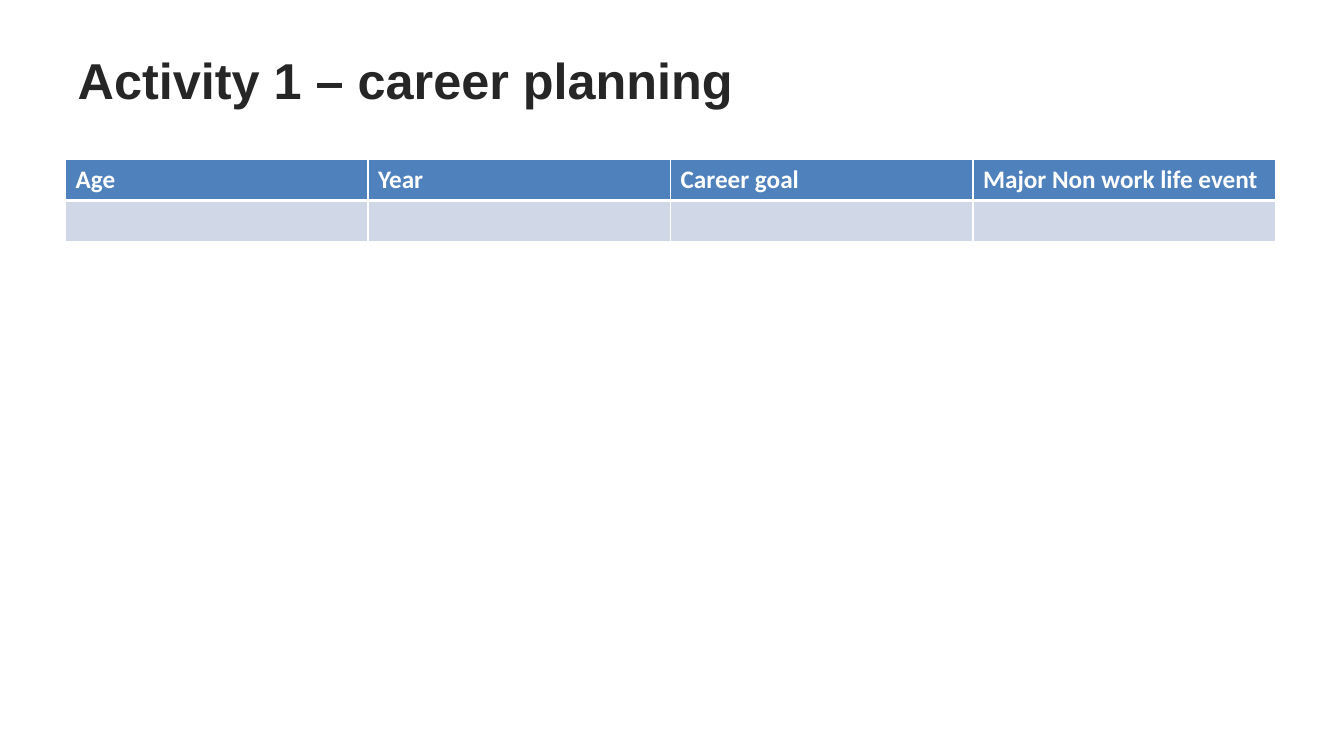
import dataclasses

import pptx
import pptx.dml.color
import pptx.enum.text
import pptx.oxml
import pptx.oxml.ns
import pptx.util


@dataclasses.dataclass(frozen=True)
class Theme:
    background: str = "FFFFFF"
    title_color: str = "262626"
    header_fill: str = "4F81BD"
    header_text: str = "FFFFFF"
    body_fill: str = "D0D8E8"
    border: str = "FFFFFF"
    title_font: str = "Arial"
    table_font: str = "Calibri"
    title_size: int = 36
    table_size: int = 18
    thin_line: int = 1
    thick_line: int = 3


class SlideBuilder:
    COLUMN = pptx.util.Inches(3)
    ROW = pptx.util.Inches(0.41)

    def __init__(self, presentation, theme):
        self.theme = theme
        self.slide = presentation.slides.add_slide(presentation.slide_layouts[5])
        background = self.slide.background.fill
        background.solid()
        background.fore_color.rgb = self.color(theme.background)

    def color(self, value):
        return pptx.dml.color.RGBColor.from_string(value)

    def add_run(self, paragraph, text, font, size, color):
        run = paragraph.add_run()
        run.text = text
        run.font.name = font
        run.font.size = pptx.util.Pt(size)
        run.font.bold = True
        run.font.color.rgb = self.color(color)

    def add_title(self, text, left, top, columns, height):
        title = self.slide.shapes.title
        title.left, title.top = pptx.util.Inches(left), pptx.util.Inches(top)
        title.width, title.height = columns * self.COLUMN, pptx.util.Inches(height)
        frame = title.text_frame
        frame.word_wrap = True
        frame.vertical_anchor = pptx.enum.text.MSO_ANCHOR.MIDDLE
        paragraph = frame.paragraphs[0]
        paragraph.alignment = pptx.enum.text.PP_ALIGN.LEFT
        self.add_run(paragraph, text, self.theme.title_font,
                     self.theme.title_size, self.theme.title_color)

    def add_borders(self, cell, top, bottom):
        properties = cell._tc.get_or_add_tcPr()
        thin = self.theme.thin_line
        sides = (("lnL", thin), ("lnR", thin), ("lnT", top), ("lnB", bottom))
        for position, (side, width) in enumerate(sides):
            line = pptx.oxml.parse_xml(
                f'<a:{side} {pptx.oxml.ns.nsdecls("a")} w="{pptx.util.Pt(width)}">'
                f'<a:solidFill><a:srgbClr val="{self.theme.border}"/></a:solidFill>'
                f'</a:{side}>')
            properties.insert(position, line)

    def add_table(self, headings, body_rows, left, top):
        theme = self.theme
        rows, columns = body_rows + 1, len(headings)
        table = self.slide.shapes.add_table(
            rows, columns, pptx.util.Inches(left), pptx.util.Inches(top),
            columns * self.COLUMN, rows * self.ROW).table
        for row_index in range(rows):
            is_header = row_index == 0
            for column_index, heading in enumerate(headings):
                cell = table.cell(row_index, column_index)
                cell.fill.solid()
                cell.fill.fore_color.rgb = self.color(
                    theme.header_fill if is_header else theme.body_fill)
                self.add_borders(
                    cell,
                    theme.thick_line if row_index == 1 else theme.thin_line,
                    theme.thick_line if is_header else theme.thin_line)
                if is_header:
                    self.add_run(cell.text_frame.paragraphs[0], heading,
                                 theme.table_font, theme.table_size, theme.header_text)


def main():
    presentation = pptx.Presentation()
    presentation.slide_width = pptx.util.Inches(13.33)
    presentation.slide_height = pptx.util.Inches(7.5)
    builder = SlideBuilder(presentation, Theme())
    builder.add_title("Activity 1 – career planning", left=0.67, top=0.16,
                      columns=4, height=1.25)
    builder.add_table(["Age", "Year", "Career goal", "Major Non work life event"],
                      body_rows=1, left=0.65, top=1.58)
    presentation.save("out.pptx")


if __name__ == "__main__":
    main()
